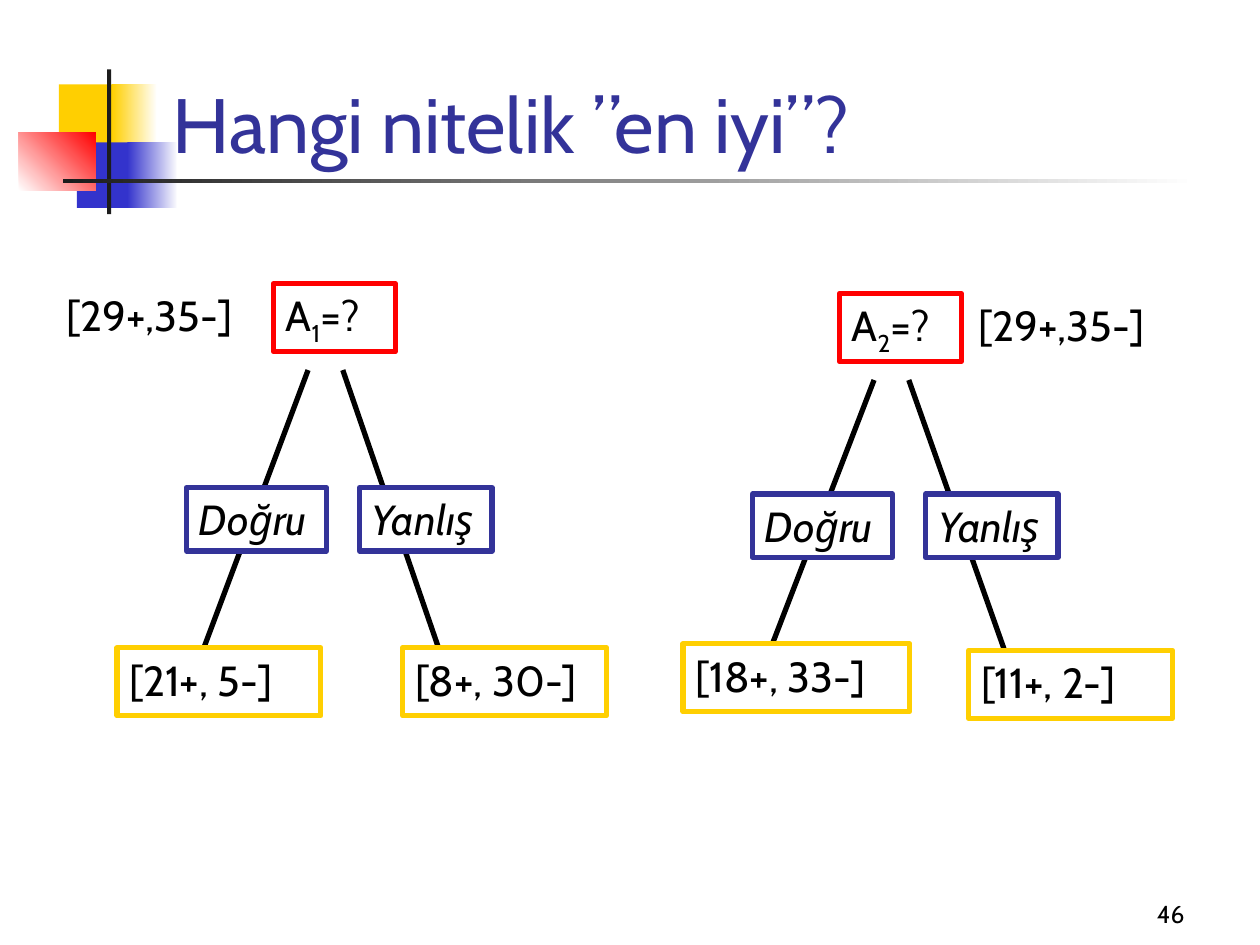
import pptx
import pptx.dml.color
import pptx.enum.shapes
import pptx.enum.text
import pptx.oxml
import pptx.oxml.ns
import pptx.util

FONT = "Cabin"
BLACK, WHITE, RED, INDIGO, YELLOW = "000000", "FFFFFF", "FF0000", "333399", "FFCF01"
BLUE, CHARCOAL = "3333CC", "1C1C1C"
SUBSCRIPT = "-25000"


def colour(code):
    """Turn a hex string into a colour."""
    return pptx.dml.color.RGBColor.from_string(code)


def lengths(*values):
    """Turn centimetre values into lengths."""
    return [pptx.util.Cm(value) for value in values]


def add_text(box, pieces, size=24, code=BLACK, italic=False, align="LEFT", anchor="TOP"):
    """Fill a box with one paragraph made of (text, baseline) pieces."""
    frame = box.text_frame
    frame.word_wrap = True
    frame.auto_size = pptx.enum.text.MSO_AUTO_SIZE.NONE
    frame.vertical_anchor = getattr(pptx.enum.text.MSO_ANCHOR, anchor)
    para = frame.paragraphs[0]
    para.alignment = getattr(pptx.enum.text.PP_ALIGN, align)
    for text, baseline in pieces:
        span = para.add_run()
        span.text = text
        span.font.name = FONT
        span.font.size = pptx.util.Pt(size)
        span.font.italic = italic
        span.font.color.rgb = colour(code)
        if baseline:
            span.font._element.set("baseline", baseline)


def add_block(page, area, start, end=None, angle=0):
    """Draw an unlined rectangle, plain or fading from one colour to another."""
    block = page.shapes.add_shape(pptx.enum.shapes.MSO_SHAPE.RECTANGLE, *lengths(*area))
    block.shadow.inherit = False
    block.line.fill.background()
    if end is None:
        block.fill.solid()
        block.fill.fore_color.rgb = colour(start)
        return
    block.fill.gradient()
    block.fill.gradient_angle = angle
    for stop, code in zip(block.fill.gradient_stops, (start, end)):
        stop.color.rgb = colour(code)


def add_node(page, area, pieces, border, italic=False):
    """Draw a white tree node with a coloured border."""
    node = page.shapes.add_shape(pptx.enum.shapes.MSO_SHAPE.RECTANGLE, *lengths(*area))
    node.shadow.inherit = False
    node.fill.solid()
    node.fill.fore_color.rgb = colour(WHITE)
    node.line.color.rgb = colour(border)
    node.line.width = pptx.util.Pt(3)
    add_text(node, pieces, italic=italic)


def add_branch(page, start, end):
    """Draw a straight branch between two points."""
    branch = page.shapes.add_connector(
        pptx.enum.shapes.MSO_CONNECTOR.STRAIGHT, *lengths(*start, *end))
    branch.line.color.rgb = colour(BLACK)
    branch.line.width = pptx.util.Pt(3)
    properties = branch._element.find(pptx.oxml.ns.qn("p:spPr"))
    properties.append(pptx.oxml.parse_xml(
        f"<a:effectLst {pptx.oxml.ns.nsdecls('a')}/>"))


def add_ornament(page, left, top):
    """Draw the coloured squares and the crossing rules of the heading."""
    blocks = [
        ((0.81, 0.3, 1.22, 1.32), YELLOW, None, 0),
        ((1.88, 0.3, 0.91, 1.32), YELLOW, WHITE, 0),
        ((1.17, 1.47, 1.17, 1.32), BLUE, None, 0),
        ((2.19, 1.47, 1.02, 1.32), BLUE, WHITE, 0),
        ((0, 1.27, 1.55, 1.17), WHITE, RED, 45),
        ((1.78, 0, 0.08, 2.92), CHARCOAL, None, 0),
        ((0.89, 2.21, 22.86, 0.08), CHARCOAL, WHITE, 0),
    ]
    for (x, y, width, height), start, end, angle in blocks:
        add_block(page, (left + x, top + y, width, height), start, end, angle)


def add_title(page, area, text):
    """Move the title placeholder to its area, in front, and fill it."""
    title = page.shapes.title
    title.left, title.top, title.width, title.height = lengths(*area)
    add_text(title, [(text, None)], size=44, code=INDIGO, anchor="BOTTOM")
    title._element.getparent().append(title._element)


def add_number(page, area, text):
    """Write the page number."""
    box = page.shapes.add_textbox(*lengths(*area))
    add_text(box, [(text, None)], size=14, align="RIGHT", anchor="BOTTOM")


def add_tree(page, left, top, index, count_x, answer_y, branch_y, leaves):
    """Draw a decision tree whose root has its corner at left and top."""
    for start_x, end_x in ((0.7, -1.4), (1.4, 3.33)):
        add_branch(page, (left + start_x, top + 1.74), (left + end_x, top + branch_y))
    add_node(page, (left, top, 2.46, 1.37),
             [("A", None), (index, SUBSCRIPT), ("=?", None)], RED)
    for text, x, width in (("Doğru", -1.75, 2.82), ("Yanlış", 1.74, 2.67)):
        add_node(page, (left + x, top + answer_y, width, 1.28),
                 [(text, None)], INDIGO, italic=True)
    for x, (text, y, width) in zip((-3.15, 2.61), leaves):
        add_node(page, (left + x, top + y, width, 1.37), [(text, None)], YELLOW)
    count = page.shapes.add_textbox(*lengths(left + count_x, top, 4.19, 1.27))
    add_text(count, [("[29+,35-]", None)])


def main():
    """Build the slide and save it."""
    deck = pptx.Presentation()
    deck.slide_width, deck.slide_height = lengths(25.4, 19.05)
    page = deck.slides.add_slide(deck.slide_layouts[5])
    add_ornament(page, 0.38, 1.4)
    add_title(page, (3.23, 0.36, 21.64, 3.18), "Hangi nitelik ”en iyi”?")
    add_number(page, (18.85, 17.58, 5.28, 1.27), "46")
    add_tree(page, 5.51, 5.72, "1", -4.42, 4.11, 7.34,
             [("[21+, 5-]", 7.34, 4.11), ("[8+, 30-]", 7.34, 4.11)])
    add_tree(page, 16.92, 5.92, "2", 2.56, 4.04, 7.19,
             [("[18+, 33-]", 7.06, 4.57), ("[11+, 2-]", 7.19, 4.11)])
    deck.save("out.pptx")


if __name__ == "__main__":
    main()
